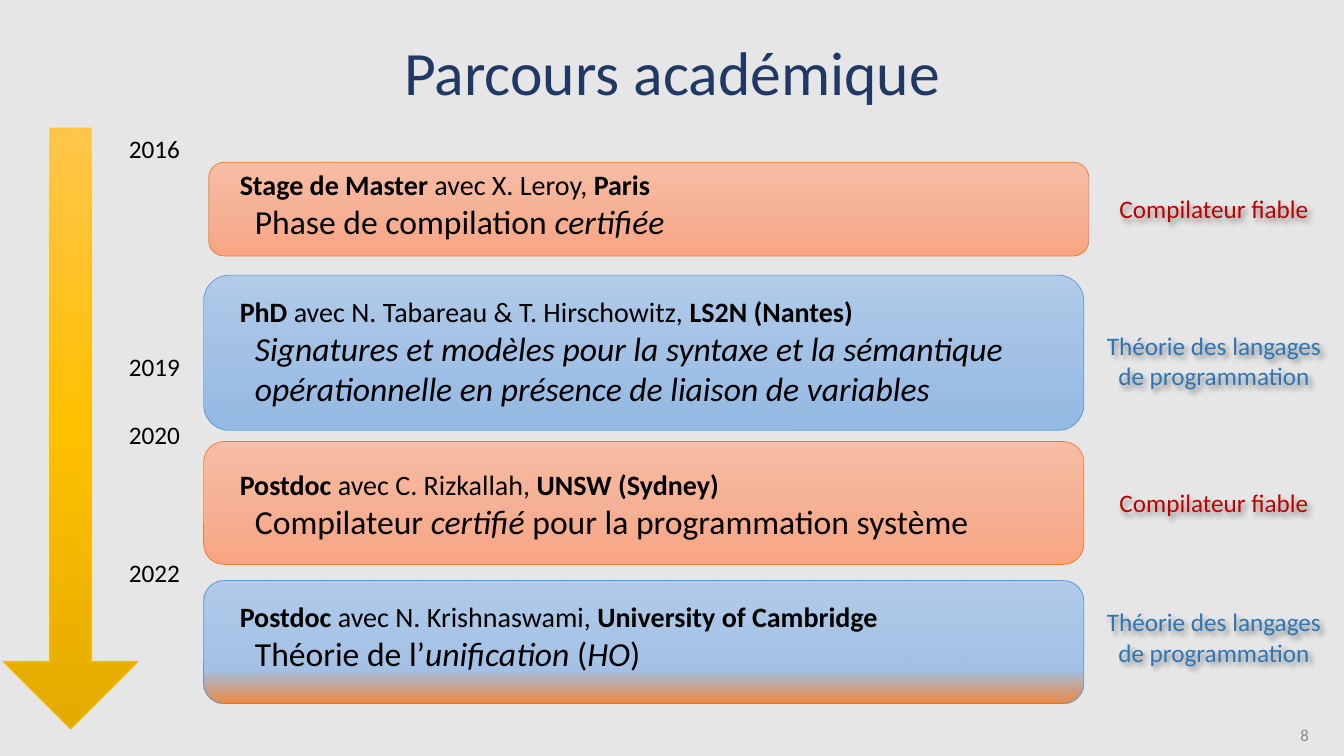
from lxml.etree import SubElement
from pptx import Presentation
from pptx.dml.color import RGBColor
from pptx.enum.shapes import MSO_SHAPE
from pptx.enum.text import MSO_ANCHOR, MSO_AUTO_SIZE, PP_ALIGN
from pptx.oxml.ns import qn
from pptx.util import Inches, Pt

FONT = "Calibri"
ORANGE = {"line": "ED7D31", "stops": [(0, "F7BDA5", 100), (50, "F5B196", 100), (100, "F8A582", 100)]}
BLUE = {"line": "5B9BD5", "stops": [(0, "B1CBE9", 100), (50, "A3C1E5", 100), (100, "93B9E4", 100)]}
BLUE_TO_ORANGE = {"line": "5B9BD5", "stops": [(0, "B1CBE9", 100), (73, "A3C1E5", 100), (100, "ED7D31", 87)]}
GOLD = {"line": "FFC000", "stops": [(0, "FFC64B", 100), (50, "FFC000", 100), (100, "E3AB00", 100)]}

COMPILER = {"text": "Compilateur fiable", "color": "C00000", "width": 2.09, "height": 0.4}
THEORY = {"text": "Théorie des langages de programmation", "color": "2E75B6", "width": 2.52, "height": 0.71}

YEARS = [("2016", 1.27), ("2019", 3.44), ("2020", 4.11), ("2022", 5.48)]

STEPS = [
    {
        "card": (2.07, 1.61, 0.93), "palette": ORANGE, "text_top": 1.61, "topic": COMPILER, "topic_top": 1.87,
        "heading": [("Stage de Master ", "b"), ("avec X. Leroy, ", ""), ("Paris", "b")],
        "subject": [[("Phase de compilation ", ""), ("certifiée", "i")]],
    },
    {
        "card": (2.02, 2.73, 1.54), "palette": BLUE, "text_top": 2.87, "topic": THEORY, "topic_top": 3.23,
        "heading": [("PhD ", "b"), ("avec N. Tabareau & T. Hirschowitz, ", ""), ("LS2N (Nantes)", "b")],
        "subject": [
            [("Signatures et modèles pour la syntaxe et la sémantique", "i")],
            [("opérationnelle en présence de liaison de variables", "i")],
        ],
    },
    {
        "card": (2.02, 4.38, 1.22), "palette": ORANGE, "text_top": 4.59, "topic": COMPILER, "topic_top": 4.79,
        "heading": [("Postdoc ", "b"), ("avec C. Rizkallah, ", ""), ("UNSW (Sydney)", "b")],
        "subject": [[("Compilateur ", ""), ("certifié", "i"), (" pour la programmation système", "")]],
    },
    {
        "card": (2.02, 5.76, 1.22), "palette": BLUE_TO_ORANGE, "text_top": 5.9, "topic": THEORY, "topic_top": 5.97,
        "heading": [("Postdoc ", "b"), ("avec N. Krishnaswami, ", ""), ("University of Cambridge", "b")],
        "subject": [[("Théorie de l’", ""), ("unification ", "i"), ("(", ""), ("HO", "i"), (")", "")]],
    },
]
CARD_WIDTH = 8.73
TOPIC_CENTER = 12.04


def rgb(color):
    return RGBColor.from_string(color)


def write(paragraph, spans, size=18, color="000000", align=PP_ALIGN.LEFT, indent=0):
    paragraph.alignment = align
    if indent:
        paragraph._p.get_or_add_pPr().set("marL", str(Inches(indent)))
    for text, style in spans:
        run = paragraph.add_run()
        run.text = text
        run.font.name = FONT
        run.font.size = Pt(size)
        run.font.color.rgb = rgb(color)
        run.font.bold = style == "b"
        run.font.italic = style == "i"


def add_box(slide, left, top, width, height):
    box = slide.shapes.add_textbox(Inches(left), Inches(top), Inches(width), Inches(height))
    box.text_frame.word_wrap = True
    box.text_frame.auto_size = MSO_AUTO_SIZE.SHAPE_TO_FIT_TEXT
    return box


def add_gradient_shape(slide, kind, left, top, width, height, palette):
    shape = slide.shapes.add_shape(kind, Inches(left), Inches(top), Inches(width), Inches(height))
    shape.shadow.inherit = False
    shape.line.color.rgb = rgb(palette["line"])
    shape.line.width = Pt(0.5)
    shape.fill.gradient()
    shape.fill.gradient_angle = 270
    stop_list = shape._element.spPr.find(qn("a:gradFill")).find(qn("a:gsLst"))
    for stop in list(stop_list):
        stop_list.remove(stop)
    for position, color, opacity in palette["stops"]:
        stop = SubElement(stop_list, qn("a:gs"), pos=str(position * 1000))
        fill_color = SubElement(stop, qn("a:srgbClr"), val=color)
        if opacity < 100:
            SubElement(fill_color, qn("a:alpha"), val=str(opacity * 1000))
    return shape


def add_soft_shadow(shape):
    effects = SubElement(shape._element.spPr, qn("a:effectLst"))
    shadow = SubElement(effects, qn("a:outerShdw"), blurRad=str(Pt(4)), dist=str(Pt(3)),
                        dir="2700000", algn="tl", rotWithShape="0")
    shadow_color = SubElement(shadow, qn("a:srgbClr"), val="000000")
    SubElement(shadow_color, qn("a:alpha"), val="40000")


def add_step(slide, step):
    left, top, height = step["card"]
    add_gradient_shape(slide, MSO_SHAPE.ROUNDED_RECTANGLE, left, top, CARD_WIDTH, height, step["palette"])

    lines = step["subject"]
    frame = add_box(slide, 2.28, step["text_top"], 9.04, 0.43 + 0.41 * len(lines)).text_frame
    write(frame.paragraphs[0], step["heading"], size=20)
    for line in lines:
        write(frame.add_paragraph(), line, size=24, indent=0.15)

    topic = step["topic"]
    label = add_box(slide, TOPIC_CENTER - topic["width"] / 2, step["topic_top"], topic["width"], topic["height"])
    write(label.text_frame.paragraphs[0], [(topic["text"], "")], color=topic["color"], align=PP_ALIGN.CENTER)
    add_soft_shadow(label)


def main():
    presentation = Presentation()
    presentation.slide_width = Inches(13.33)
    presentation.slide_height = Inches(7.5)
    slide = presentation.slides.add_slide(presentation.slide_layouts[5])
    slide.background.fill.solid()
    slide.background.fill.fore_color.rgb = rgb("E7E6E6")

    title = slide.shapes.title
    title.left, title.top, title.width, title.height = map(Inches, (0.92, 0.02, 11.5, 1.45))
    title.text_frame.vertical_anchor = MSO_ANCHOR.MIDDLE
    heading = title.text_frame.paragraphs[0]
    heading.line_spacing = 0.9
    write(heading, [("Parcours académique", "")], size=44, color="203864", align=PP_ALIGN.CENTER)

    arrow = add_gradient_shape(slide, MSO_SHAPE.DOWN_ARROW, 0.03, 1.27, 1.34, 5.96, GOLD)
    arrow.adjustments[0] = 0.304
    arrow.adjustments[1] = 0.5

    for step in STEPS:
        add_step(slide, step)
    for year, top in YEARS:
        write(add_box(slide, 1.18, top, 1, 0.4).text_frame.paragraphs[0], [(year, "")])

    number = add_box(slide, 10.08, 7.09, 3, 0.4).text_frame
    number.auto_size = MSO_AUTO_SIZE.NONE
    number.vertical_anchor = MSO_ANCHOR.MIDDLE
    write(number.paragraphs[0], [("8", "")], size=12, color="8C8C8C", align=PP_ALIGN.RIGHT)

    presentation.save("out.pptx")


if __name__ == "__main__":
    main()
